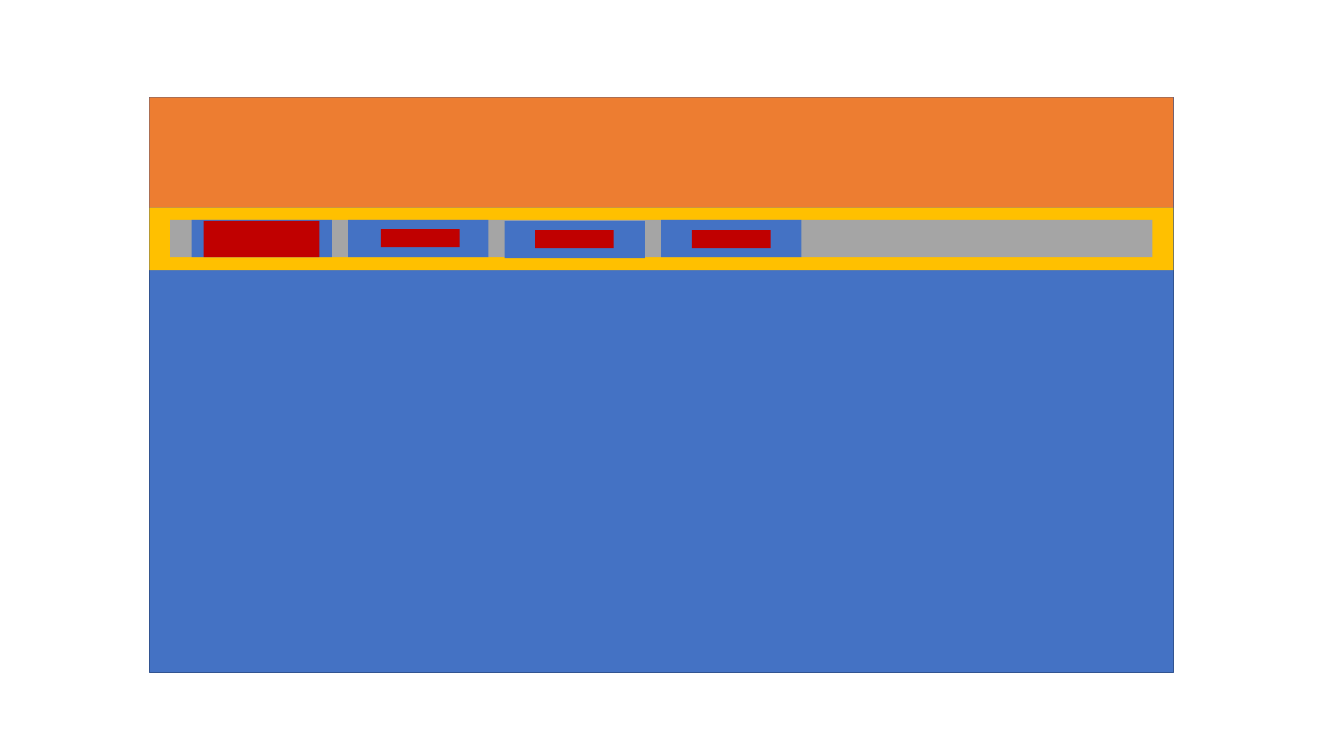
from pptx import Presentation
from pptx.dml.color import RGBColor
from pptx.enum.shapes import MSO_SHAPE
from pptx.util import Pt

RECT = MSO_SHAPE.RECTANGLE
BLANK_LAYOUT = 6
COLORS = {
    "page": "4472C4",
    "outline": "325491",
    "header": "ED7D31",
    "nav": "FFC000",
    "menu": "A5A5A5",
    "tab": "4472C4",
    "label": "C00000",
}
TAB_W, TAB_PITCH = 100.2, 111.8
# Per tab: its drop below the menu top, then its label's x, y, width, height in the menu row
TABS = [
    (0, (8.6, 0.7, 82.8, 25.9)),
    (0, (23.5, 6.5, 56.2, 13)),
    (0.7, (21.8, 7.2, 56.2, 13)),
    (0, (22, 7.2, 56.2, 13)),
]


def add_rect(s, box, color, outline=None):
    sp = s.shapes.add_shape(RECT, *(Pt(v) for v in box))
    sp.shadow.inherit = False
    sp.fill.solid()
    sp.fill.fore_color.rgb = RGBColor.from_string(COLORS[color])
    if outline:
        sp.line.color.rgb = RGBColor.from_string(COLORS[outline])
        sp.line.width = Pt(1)
    else:
        sp.line.fill.background()


def add_menu(s, box):
    x, y, w, h = box
    add_rect(s, box, "menu")
    for i, (drop, (dx, dy, label_w, label_h)) in enumerate(TABS):
        tab_x = x + 15.2 + i * TAB_PITCH
        add_rect(s, (tab_x, y + drop, TAB_W, h), "tab")
        add_rect(s, (tab_x + dx, y + dy, label_w, label_h), "label")


def add_nav(s, box):
    x, y, w, h = box
    add_rect(s, box, "nav")
    add_menu(s, (x + 15, y + 8.8, w - 30, 26.6))


def add_page(s, box):
    x, y, w, h = box
    header_h, nav_h = 78.7, 44.7
    add_rect(s, box, "page", "outline")
    add_rect(s, (x, y, w, header_h), "header")
    add_nav(s, (x, y + header_h, w, nav_h))


def main():
    prs = Presentation()
    prs.slide_width, prs.slide_height = Pt(960), Pt(540)
    s = prs.slides.add_slide(prs.slide_layouts[BLANK_LAYOUT])
    add_page(s, (106.6, 69.6, 731.6, 410.6))
    prs.save("out.pptx")


if __name__ == "__main__":
    main()
